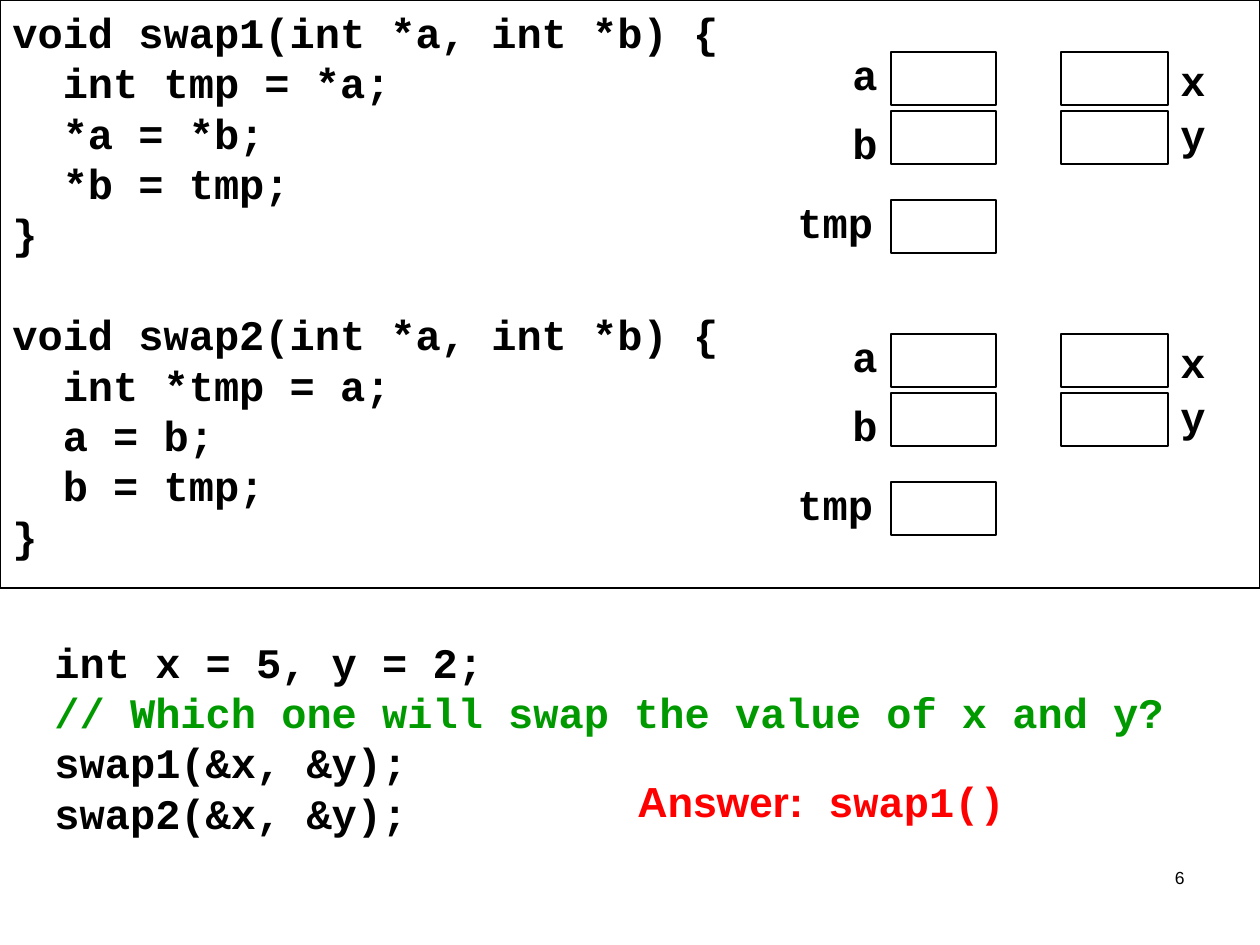
"""Build a slide that compares two swap functions in C."""
from pptx import Presentation
from pptx.dml.color import RGBColor
from pptx.enum.shapes import MSO_SHAPE as Shape
from pptx.enum.text import MSO_ANCHOR as Anchor, PP_ALIGN as Align
from pptx.util import Inches, Pt

PX = Inches(1) / 126
MONO = {"name": "Courier New", "size": Pt(24), "bold": True}
SANS = {**MONO, "name": "Arial"}
SMALL = {"name": "Arial", "size": Pt(10), "bold": False}
BLACK, GREEN, RED = "000000", "009900", "FF0000"

SWAP1 = """void swap1(int *a, int *b) {
  int tmp = *a;
  *a = *b;
  *b = tmp;
}"""
SWAP2 = """void swap2(int *a, int *b) {
  int *tmp = a;
  a = b;
  b = tmp;
}"""
CALLS = """int x = 5, y = 2;
// Which one will swap the value of x and y?
swap1(&x, &y);
swap2(&x, &y);"""

deck = Presentation()
deck.slide_width, deck.slide_height = Inches(10), Inches(7.5)
slide = deck.slides.add_slide(deck.slide_layouts[6])


def add_rect(left, top, width, height, line):
    box = slide.shapes.add_shape(Shape.RECTANGLE, *[round(n * PX) for n in (left, top, width, height)])
    box.shadow.inherit = False
    box.fill.background()
    box.line.color.rgb = RGBColor.from_string(BLACK)
    box.line.width = Pt(line)
    return box


def add_text(frame, lines, align=Align.LEFT):
    frame.word_wrap = True
    frame.vertical_anchor = Anchor.TOP
    for i, runs in enumerate(lines):
        para = frame.add_paragraph() if i else frame.paragraphs[0]
        para.alignment = align
        for text, style, color in runs:
            run = para.add_run()
            run.text = text
            run.font.color.rgb = RGBColor.from_string(color)
            for key, value in style.items():
                setattr(run.font, key, value)


panel = add_rect(0, 0, 1260, 588, 0.75)
panel.fill.solid()
panel.fill.fore_color.rgb = RGBColor.from_string("FFFFFF")
first, second = SWAP1.split("\n"), SWAP2.split("\n")
add_text(panel.text_frame, [[(line, MONO, BLACK)] for line in first + second])
panel.text_frame.paragraphs[len(first)].space_before = Pt(28.8)

labels = []
for top in (0, 282):
    for left, y, width in ((891, 111, 105), (891, 52, 105), (1061, 52, 107), (1061, 111, 107), (891, 200, 105)):
        add_rect(left, top + y, width, 53, 1.5)
    for name, left, y, width in (("a", 840, 42, 51), ("b", 840, 111, 51), ("x", 1168, 48, 42),
                                 ("y", 1168, 102, 42), ("tmp", 785, 190, 112)):
        labels.append(((left, top + y, width, 63), [[(name, MONO, BLACK)]], Align.LEFT))

calls = [[(line, MONO, GREEN if line.startswith("//") else BLACK)] for line in CALLS.split("\n")]
answer = [[("Answer:", SANS, RED), (" swap1()", MONO, RED)]]
notes = [((42, 630, 1176, 214), calls, Align.LEFT),
         ((625, 769, 498, 63), answer, Align.LEFT),
         ((903, 861, 294, 63), [[("6", SMALL, BLACK)]], Align.RIGHT)]
for place, lines, align in labels + notes:
    box = slide.shapes.add_textbox(*[round(n * PX) for n in place])
    add_text(box.text_frame, lines, align)

deck.save("out.pptx")
